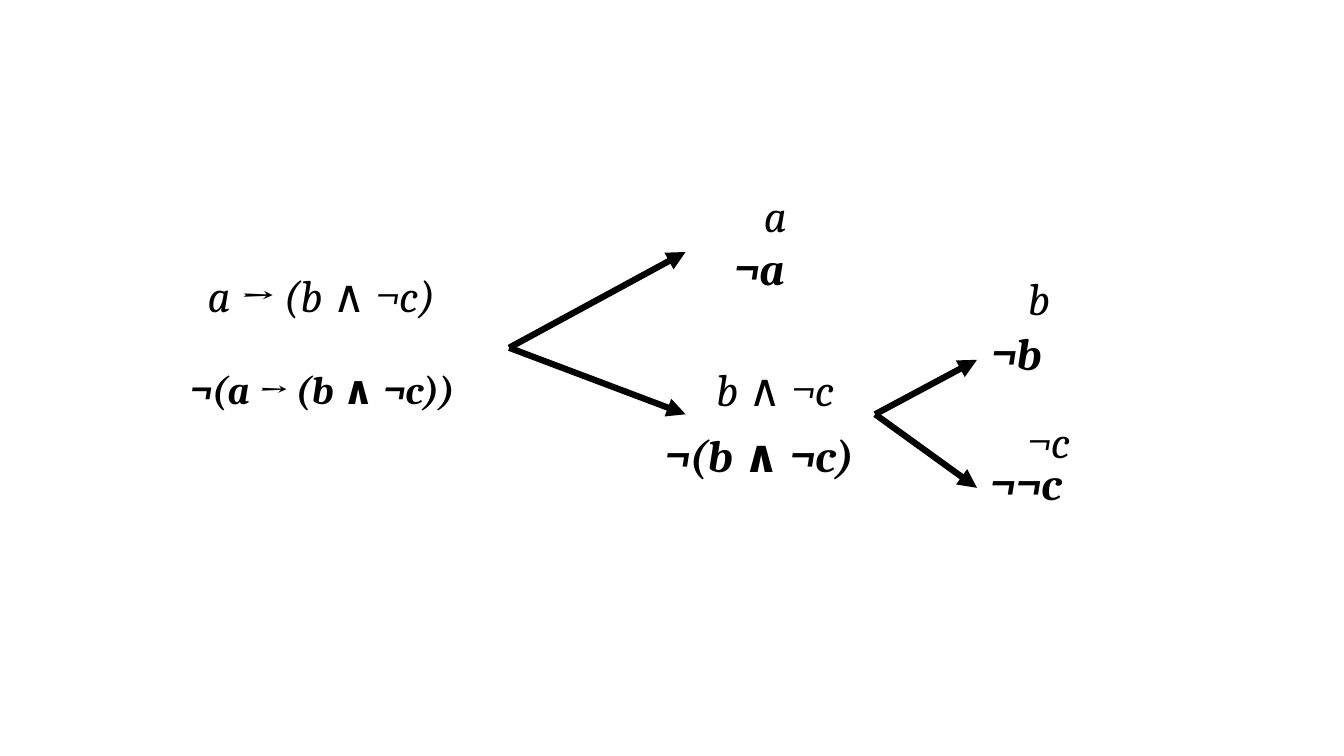
from dataclasses import dataclass

from lxml.etree import SubElement
from pptx import Presentation
from pptx.dml.color import RGBColor
from pptx.enum.shapes import MSO_CONNECTOR
from pptx.enum.text import MSO_AUTO_SIZE, PP_ALIGN
from pptx.oxml.ns import qn
from pptx.slide import Slide
from pptx.util import Inches, Pt

BLACK = RGBColor(0x00, 0x00, 0x00)
FONT = "Cambria"
BLANK_LAYOUT = 6


@dataclass(frozen=True)
class Formula:
    text: str
    left: float
    top: float
    width: float
    negated: bool = False
    size: int = 32
    height: float = 0.71
    indent: float = 0


@dataclass(frozen=True)
class Branch:
    start: tuple[float, float]
    ends: tuple[tuple[float, float], ...]


FORMULAS = (
    Formula("a → (b ∧ ¬c)", 1.46, 2.61, 3.46),
    Formula("¬(a → (b ∧ ¬c))", 1.3, 3.58, 3.79, negated=True, size=28, height=0.63),
    Formula("a", 6.85, 1.81, 1.68),
    Formula("¬a", 5.8, 2.34, 3.46, negated=True),
    Formula("b ∧ ¬c", 6.8, 3.54, 1.78),
    Formula("¬(b ∧ ¬c)", 5.8, 4.19, 3.46, negated=True),
    Formula("b", 9.56, 2.64, 1.2, indent=0.29),
    Formula("¬b", 8.53, 3.18, 2.71, negated=True, indent=0.39),
    Formula("¬c", 9.56, 4.06, 1.68),
    Formula("¬¬c", 8.53, 4.47, 2.71, negated=True, indent=0.58),
)

BRANCHES = (
    Branch((5.05, 3.45), ((6.8, 2.5), (6.8, 4.11))),
    Branch((8.68, 4.11), ((9.69, 3.57), (9.69, 4.84))),
)


def add_formula(page: Slide, formula: Formula) -> None:
    box = page.shapes.add_textbox(
        Inches(formula.left), Inches(formula.top),
        Inches(formula.width), Inches(formula.height),
    )
    frame = box.text_frame
    frame.word_wrap = True
    frame.auto_size = MSO_AUTO_SIZE.SHAPE_TO_FIT_TEXT
    para = frame.paragraphs[0]
    para.text = formula.text
    para.alignment = PP_ALIGN.CENTER
    font = para.font
    font.name = FONT
    font.size = Pt(formula.size)
    font.italic = True
    font.bold = formula.negated
    font.color.rgb = BLACK
    if formula.indent:
        para._p.get_or_add_pPr().set("marL", str(Inches(formula.indent)))


def add_branch(page: Slide, branch: Branch) -> None:
    """Draw one arrow from the shared start to each end."""
    for end in branch.ends:
        arrow = page.shapes.add_connector(
            MSO_CONNECTOR.STRAIGHT,
            *(Inches(value) for value in (*branch.start, *end)),
        )
        arrow.line.color.rgb = BLACK
        arrow.line.width = Pt(4.5)
        SubElement(arrow.line._get_or_add_ln(), qn("a:tailEnd"), type="triangle")
        SubElement(arrow._element.spPr, qn("a:effectLst"))


def main() -> None:
    deck = Presentation()
    deck.slide_width = Inches(13.33)
    deck.slide_height = Inches(7.5)
    page = deck.slides.add_slide(deck.slide_layouts[BLANK_LAYOUT])
    for formula in FORMULAS:
        add_formula(page, formula)
    for branch in BRANCHES:
        add_branch(page, branch)
    deck.save("out.pptx")


if __name__ == "__main__":
    main()
